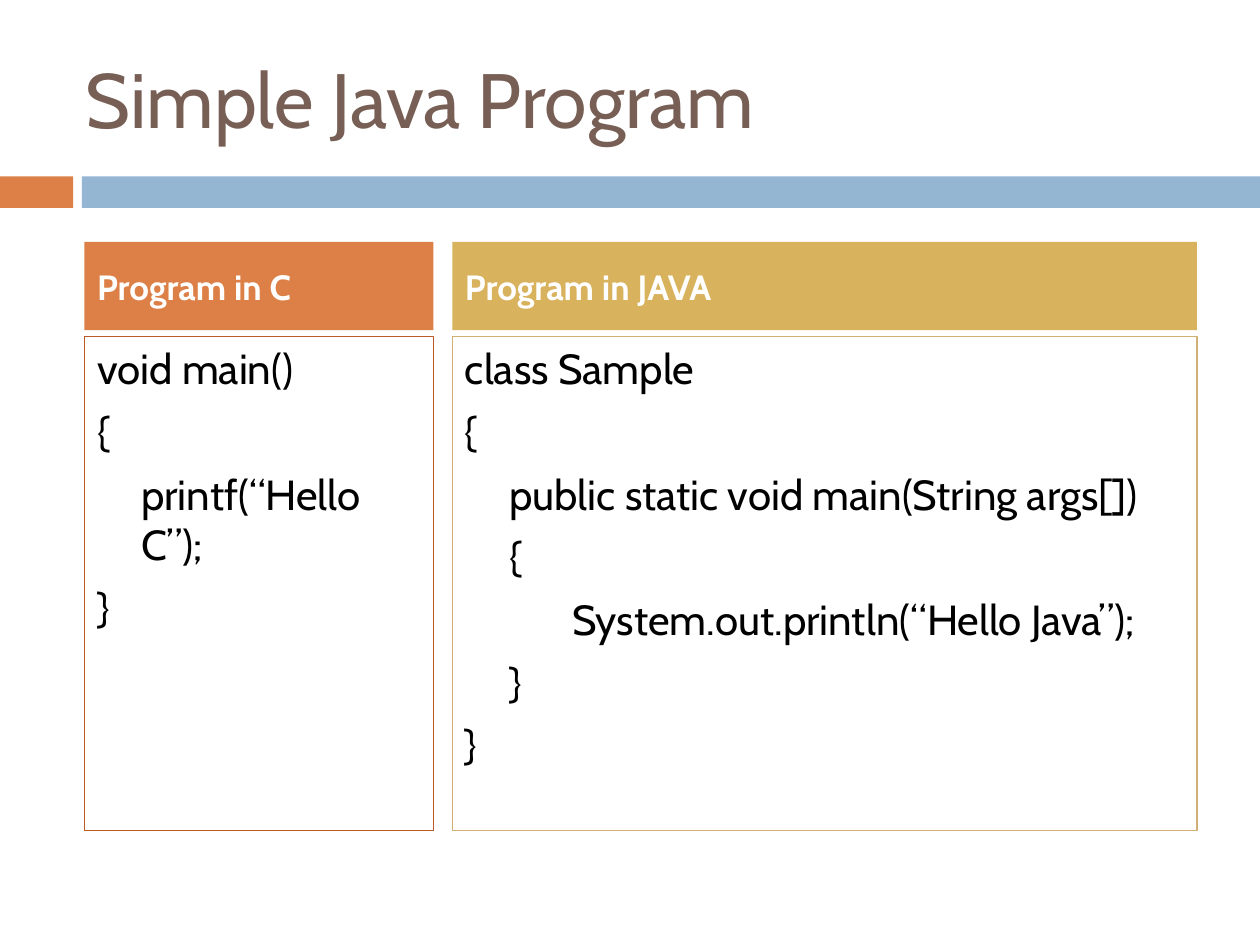
from lxml.etree import SubElement
from pptx import Presentation
from pptx.dml.color import RGBColor
from pptx.enum.shapes import MSO_SHAPE
from pptx.enum.text import MSO_ANCHOR, MSO_AUTO_SIZE, PP_ALIGN
from pptx.oxml.ns import qn
from pptx.util import Inches, Pt

THEME = dict(
    font="Cabin", title_size=44, head_size=20, code_size=24,
    brown="775F55", orange="DD8047", blue="94B6D2", gold="D8B25C",
    dark_orange="B95B22", dark_gold="D0AF72", white="FFFFFF", black="000000",
)

TITLE = "Simple Java Program"
BANDS = [(0, 0.58, "orange"), (0.65, 9.35, "blue")]  # left, width, fill
COLUMNS = [
    dict(head="Program in C", left=0.67, width=2.77,
         fill="orange", line="dark_orange", holders=(1, 2),
         code=["void main()", "{", "\tprintf(“Hello C”);", "}"]),
    dict(head="Program in JAVA", left=3.59, width=5.91,
         fill="gold", line="dark_gold", holders=(3, 4),
         code=["class Sample", "{", "\tpublic static void main(String args[])",
               "\t{", "\t\tSystem.out.println(“Hello Java”);", "\t}", "}"]),
]
BAND_TOP, BAND_HEIGHT = 1.4, 0.25
HEAD_TOP, HEAD_HEIGHT = 1.92, 0.7
CODE_TOP, CODE_HEIGHT = 2.67, 3.92


def color(name):
    return RGBColor.from_string(THEME[name])


def place(sp, left, top, width, height):
    sp.left, sp.top, sp.width, sp.height = map(Inches, (left, top, width, height))


def fill(sp, name):
    sp.fill.solid()
    sp.fill.fore_color.rgb = color(name)


def write(sp, lines, size, ink, bold=False, anchor=MSO_ANCHOR.MIDDLE, hang=0):
    """Fill a placeholder with unbulleted lines; hang is the hanging indent."""
    tf = sp.text_frame
    tf.word_wrap = True
    tf.auto_size = MSO_AUTO_SIZE.NONE
    tf.vertical_anchor = anchor
    for i, line in enumerate(lines):
        p = tf.add_paragraph() if i else tf.paragraphs[0]
        pPr = p._p.get_or_add_pPr()
        pPr.set("marL", str(Inches(hang)))
        pPr.set("indent", str(-Inches(hang)))
        SubElement(pPr, qn("a:buNone"))
        p.alignment = PP_ALIGN.LEFT
        p.space_before = Pt(7 if i else 0)
        r = p.add_run()
        r.text = line
        r.font.name = THEME["font"]
        r.font.size = Pt(THEME[size])
        r.font.bold = bold
        r.font.color.rgb = color(ink)


def add_band(s, left, width, name):
    sp = s.shapes.add_shape(MSO_SHAPE.RECTANGLE, 0, 0, 0, 0)
    place(sp, left, BAND_TOP, width, BAND_HEIGHT)
    sp.shadow.inherit = False
    fill(sp, name)
    sp.line.fill.background()


def add_column(s, col):
    head, body = (s.placeholders[i] for i in col["holders"])
    place(head, col["left"], HEAD_TOP, col["width"], HEAD_HEIGHT)
    fill(head, col["fill"])
    write(head, [col["head"]], "head_size", "white", bold=True)
    place(body, col["left"], CODE_TOP, col["width"], CODE_HEIGHT)
    body.line.color.rgb = color(col["line"])
    body.line.width = Pt(0.75)
    write(body, col["code"], "code_size", "black",
          anchor=MSO_ANCHOR.TOP, hang=0.35)


def main():
    prs = Presentation()
    prs.slide_width, prs.slide_height = Inches(10), Inches(7.5)
    s = prs.slides.add_slide(prs.slide_layouts.get_by_name("Comparison"))
    for band in BANDS:
        add_band(s, *band)
    title = s.shapes.title
    place(title, 0.58, 0.3, 8.92, 0.95)
    write(title, [TITLE], "title_size", "brown")
    for col in COLUMNS:
        add_column(s, col)
    prs.save("out.pptx")


if __name__ == "__main__":
    main()
